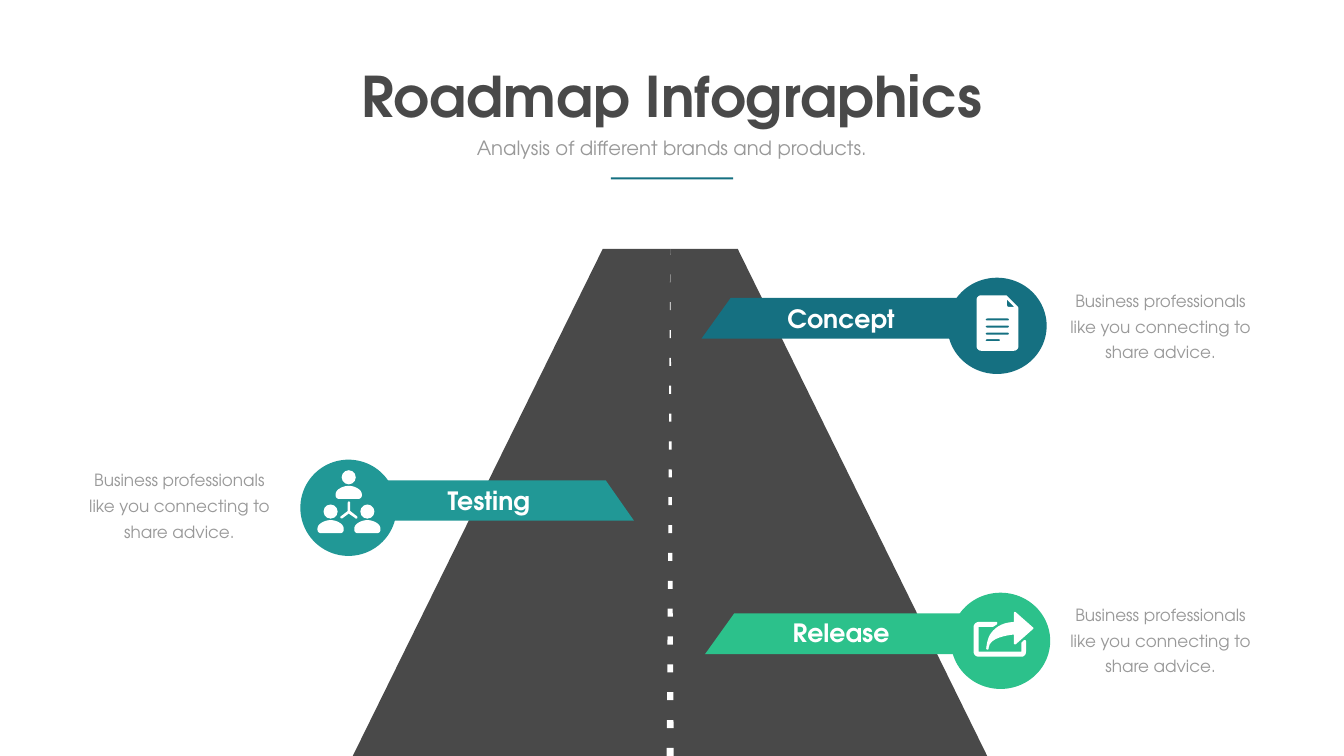
import pptx
import pptx.dml.color
import pptx.enum.shapes
import pptx.enum.text
import pptx.util

Inches = pptx.util.Inches
Pt = pptx.util.Pt
SHAPES = pptx.enum.shapes.MSO_SHAPE

COLORS = {
    "asphalt": "494949",
    "muted": "999999",
    "white": "FFFFFF",
    "blue": "157081",
    "teal": "219896",
    "green": "2CC18B",
}
ADVICE = "Business professionals like you connecting to share advice."


def curve_points(start, curve, steps=8):
    """Points along a cubic curve given as (x1, y1, x2, y2, x, y)."""
    corners = [start, curve[:2], curve[2:4], curve[4:]]
    for step in range(1, steps + 1):
        t = step / steps
        weights = ((1 - t) ** 3, 3 * t * (1 - t) ** 2, 3 * t * t * (1 - t), t ** 3)
        yield tuple(sum(w * c[axis] for w, c in zip(weights, corners)) for axis in (0, 1))


def flatten(contour):
    """Turn a mix of points (2 numbers) and cubic curves (6 numbers) into points."""
    points = [contour[0]]
    for part in contour[1:]:
        points.extend([part] if len(part) == 2 else curve_points(points[-1], part))
    return points


def shifted(contour, dx, dy):
    return [tuple(v + (dy if i % 2 else dx) for i, v in enumerate(part)) for part in contour]


class RoadmapSlide:
    font = "TeX Gyre Adventor"

    def __init__(self, slide):
        self.slide = slide

    def paint(self, shape, color):
        shape.shadow.inherit = False
        shape.fill.solid()
        shape.fill.fore_color.rgb = pptx.dml.color.RGBColor.from_string(COLORS[color])
        shape.line.fill.background()

    def preset(self, kind, left, top, width, height, color):
        shape = self.slide.shapes.add_shape(
            kind, Inches(left), Inches(top), Inches(width), Inches(height))
        self.paint(shape, color)

    def outline(self, color, *contours):
        """One filled shape; contours after the first cut holes in it."""
        builder = None
        for contour in contours:
            points = [(Inches(x), Inches(y)) for x, y in flatten(contour)]
            if builder is None:
                builder = self.slide.shapes.build_freeform(*points[0])
            else:
                builder.move_to(*points[0])
            builder.add_line_segments(points[1:], close=True)
        self.paint(builder.convert_to_shape(), color)

    def text(self, words, left, top, width, height, size, color,
             bold=False, wrap=True, spacing=None):
        box = self.slide.shapes.add_textbox(
            Inches(left), Inches(top), Inches(width), Inches(height))
        frame = box.text_frame
        frame.text = words
        frame.word_wrap = wrap
        frame.auto_size = pptx.enum.text.MSO_AUTO_SIZE.SHAPE_TO_FIT_TEXT
        paragraph = frame.paragraphs[0]
        paragraph.alignment = pptx.enum.text.PP_ALIGN.CENTER
        if spacing:
            paragraph.line_spacing = Pt(spacing)
        font = paragraph.runs[0].font
        font.name = self.font
        font.size = Pt(size)
        font.bold = bold
        font.color.rgb = pptx.dml.color.RGBColor.from_string(COLORS[color])

    def road(self):
        horizon, bottom, center = 4.94, 15, 13.3
        self.outline("asphalt", [(14.64, horizon), (11.96, horizon), (7, bottom), (19.59, bottom)])
        dash_count, last_dash = 19, 5.05
        gap = (bottom - last_dash) / (dash_count - 1)

        def half_width(y):
            return 0.07 * (y - horizon) / (bottom - horizon)

        for index in range(dash_count):
            low = bottom - index * gap
            high = max(low - 0.16, horizon)
            self.outline("white", [
                (center - half_width(low), low), (center - half_width(high), high),
                (center + half_width(high), high), (center + half_width(low), low)])

    def milestone(self, name, color, banner, circle, label_at, advice_at):
        self.outline(color, banner)
        self.preset(SHAPES.OVAL, *circle, color)
        self.text(name, *label_at, 2.86, 0.71, 36, "white", bold=True)
        self.text(ADVICE, *advice_at, 3.96, 1.6, 24, "muted", spacing=36.6)

    def team_icon(self):
        shoulders = [
            (-0.19, 0.57), (0.19, 0.57), (0.23, 0.57, 0.26, 0.54, 0.26, 0.5), (0.26, 0.48),
            (0.26, 0.44, 0.23, 0.39, 0.19, 0.37), (0.15, 0.34, 0.08, 0.31, 0, 0.31),
            (-0.08, 0.31, -0.15, 0.34, -0.19, 0.37), (-0.23, 0.39, -0.26, 0.44, -0.26, 0.48),
            (-0.26, 0.5), (-0.26, 0.54, -0.23, 0.57, -0.19, 0.57)]
        for center, top in ((6.92, 9.33), (6.56, 10.01), (7.29, 10.01)):
            self.preset(SHAPES.OVAL, center - 0.14, top, 0.28, 0.28, "white")
            self.outline("white", shifted(shoulders, center, top))
        self.outline("white", [
            (7.06, 10.29), (7.07, 10.29, 7.08, 10.29, 7.09, 10.28),
            (7.1, 10.27, 7.09, 10.25, 7.08, 10.24), (6.95, 10.14), (6.95, 9.98),
            (6.95, 9.97, 6.94, 9.95, 6.92, 9.95), (6.91, 9.95, 6.9, 9.97, 6.9, 9.98),
            (6.9, 10.14), (6.77, 10.24), (6.75, 10.25, 6.75, 10.27, 6.76, 10.28),
            (6.77, 10.29, 6.79, 10.29, 6.8, 10.28), (6.92, 10.19), (7.05, 10.28)])

    def document_icon(self):
        page = [
            (20.2, 6.09), (19.97, 5.86), (19.95, 5.86), (19.47, 5.86),
            (19.42, 5.86, 19.38, 5.9, 19.38, 5.95), (19.38, 6.87),
            (19.38, 6.92, 19.42, 6.96, 19.47, 6.96), (20.12, 6.96),
            (20.17, 6.96, 20.21, 6.92, 20.21, 6.87), (20.21, 6.11)]
        fold = [(20.02, 6.09), (20, 6.09, 19.98, 6.07, 19.98, 6.04), (19.98, 5.94), (20.13, 6.09)]
        written_lines = [
            [(right, y + 0.02), (19.59, y + 0.02),
             (19.55, y + 0.02, 19.55, y - 0.02, 19.59, y - 0.02), (right, y - 0.02),
             (right + 0.03, y - 0.02, right + 0.03, y + 0.02, right, y + 0.02)]
            for right, y in ((20, 6.34), (20, 6.48), (20, 6.62), (19.82, 6.75))]
        self.outline("white", page, fold, *written_lines)

    def share_icon(self):
        self.outline("white", [
            (20.5, 12.45), (20.16, 12.15), (20.15, 12.14, 20.14, 12.14, 20.13, 12.14),
            (20.12, 12.15, 20.12, 12.16, 20.12, 12.17), (20.12, 12.34),
            (19.84, 12.35, 19.71, 12.49, 19.64, 12.6), (19.59, 12.7, 19.58, 12.8, 19.57, 12.86),
            (19.57, 12.88, 19.58, 12.89, 19.6, 12.89), (19.61, 12.89, 19.62, 12.87, 19.62, 12.85),
            (19.63, 12.65, 20.01, 12.6, 20.12, 12.59), (20.12, 12.76),
            (20.12, 12.77, 20.12, 12.78, 20.13, 12.78), (20.14, 12.79, 20.15, 12.79, 20.16, 12.78),
            (20.5, 12.48), (20.51, 12.48, 20.51, 12.46, 20.5, 12.45)])
        self.outline("white", [
            (20.35, 12.7), (20.34, 12.7, 20.33, 12.7, 20.32, 12.7), (20.27, 12.75),
            (20.27, 12.93), (19.42, 12.93), (19.42, 12.44), (19.7, 12.44), (19.72, 12.43),
            (19.78, 12.39), (19.79, 12.38, 19.8, 12.34, 19.77, 12.34), (19.42, 12.34),
            (19.37, 12.34, 19.32, 12.39, 19.32, 12.44), (19.32, 12.93),
            (19.32, 12.99, 19.37, 13.03, 19.42, 13.03), (20.27, 13.03),
            (20.32, 13.03, 20.36, 12.99, 20.36, 12.93), (20.36, 12.72)])


def main():
    deck = pptx.Presentation()
    deck.slide_width = Inches(26.67)
    deck.slide_height = Inches(15)
    roadmap = RoadmapSlide(deck.slides.add_slide(deck.slide_layouts[6]))

    roadmap.road()
    roadmap.text("Roadmap Infographics", 7, 1.17, 12.66, 1.45, 80, "asphalt", bold=True, wrap=False)
    roadmap.text("Analysis of different brands and products.", 8.55, 2.65, 9.56, 0.57, 28, "muted")
    roadmap.preset(SHAPES.RECTANGLE, 12.12, 3.52, 2.43, 0.04, "blue")

    right_banner = [(19.75, 6.72), (13.92, 6.72), (14.5, 5.91), (19.75, 5.91)]
    left_banner = [(6.95, 10.33), (12.58, 10.33), (12.02, 9.53), (6.95, 9.53)]
    roadmap.milestone("Testing", "teal", left_banner, (5.96, 9.12, 1.91, 1.91),
                      (8.27, 9.57), (1.58, 9.17))
    roadmap.milestone("Concept", "blue", right_banner, (18.8, 5.51, 1.97, 1.91),
                      (15.26, 5.97), (21.05, 5.61))
    roadmap.milestone("Release", "green", shifted(right_banner, 0.07, 6.26),
                      (18.87, 11.76, 1.97, 1.91), (15.26, 12.2), (21.05, 11.84))
    roadmap.team_icon()
    roadmap.document_icon()
    roadmap.share_icon()
    deck.save("out.pptx")


if __name__ == "__main__":
    main()
